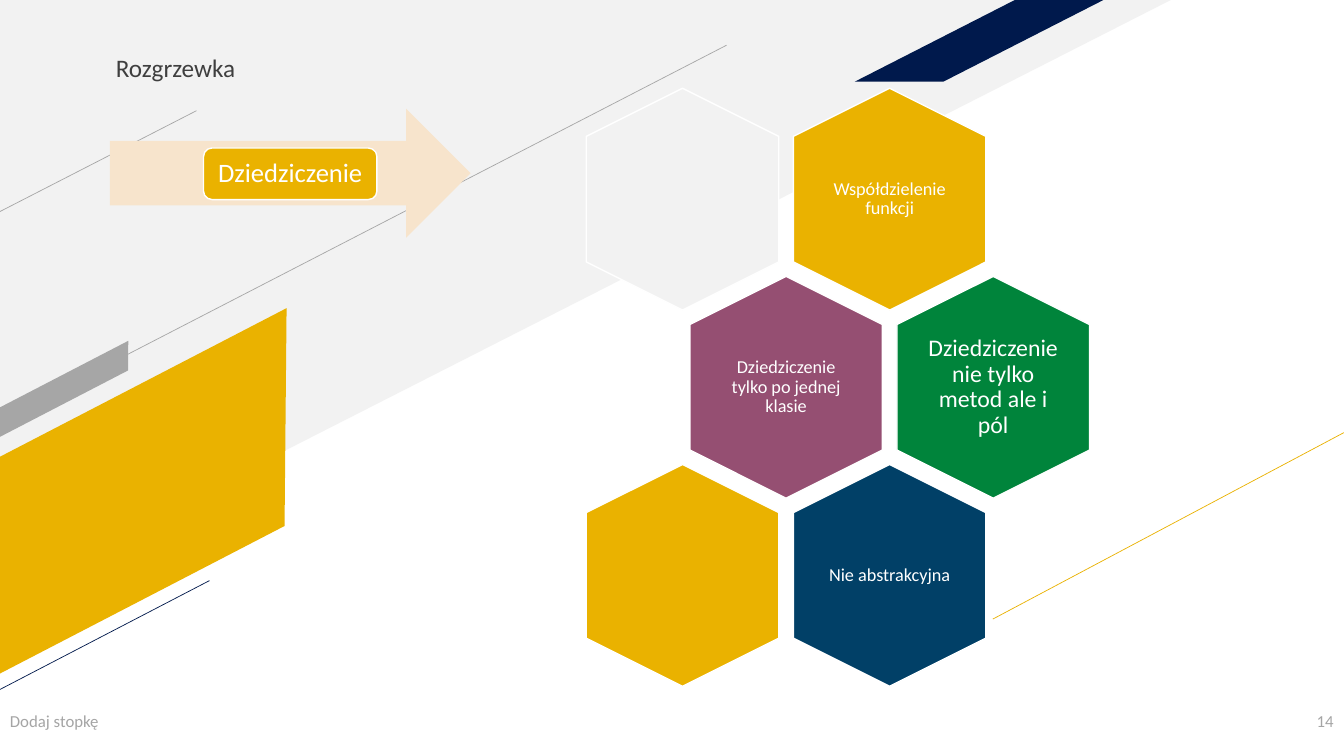
import pptx
import pptx.dml.color
import pptx.enum.shapes
import pptx.enum.text
import pptx.oxml
import pptx.oxml.ns
import pptx.util

Cm = pptx.util.Cm
RGBColor = pptx.dml.color.RGBColor
SHAPE = pptx.enum.shapes.MSO_SHAPE
ALIGN = pptx.enum.text.PP_ALIGN
ANCHOR = pptx.enum.text.MSO_ANCHOR

GOLD = RGBColor(0xEA, 0xB2, 0x00)
NAVY = RGBColor(0x00, 0x19, 0x4C)
BLUE = RGBColor(0x01, 0x40, 0x67)
PLUM = RGBColor(0x95, 0x4F, 0x72)
GREEN = RGBColor(0x00, 0x84, 0x3B)
PEACH = RGBColor(0xF7, 0xE4, 0xCC)
PALE_GRAY = RGBColor(0xF2, 0xF2, 0xF2)
GRAY = RGBColor(0xA6, 0xA6, 0xA6)
FOOTER_GRAY = RGBColor(0xA5, 0xA5, 0xA5)
DARK_GRAY = RGBColor(0x3F, 0x3F, 0x3F)
WHITE = RGBColor(0xFF, 0xFF, 0xFF)

HEXAGON_LENGTH, HEXAGON_BREADTH = 5.59, 4.85
LABEL_WIDTH, LABEL_HEIGHT = 3.35, 3.84
FIRST_CENTER_X, FIRST_CENTER_Y = 17.2, 5.02
COLUMN_PITCH, ROW_PITCH = 5.22, 4.74

# Row, column, fill, label, text size, inset
HEXAGONS = [
    (0, 1, GOLD, "Współdzielenie funkcji", 13, 0.13),
    (0, 0, PALE_GRAY, None, None, None),
    (1, 0, PLUM, "Dziedziczenie tylko po jednej klasie", 13, 0.13),
    (1, 1, GREEN, "Dziedziczenie nie tylko metod ale i pól", 17, 0),
    (2, 1, BLUE, "Nie abstrakcyjna", 13, 0.13),
    (2, 0, GOLD, None, None, None),
]


def set_attributes(target, values):
    for name, value in values.items():
        setattr(target, name, value)


def add_shape(slide, kind, box, fill, outline=None, rotation=0, adjustments=()):
    shape = slide.shapes.add_shape(kind, *map(Cm, box))
    shape.shadow.inherit = False
    shape.rotation = rotation
    for index, value in enumerate(adjustments):
        shape.adjustments[index] = value
    shape.fill.solid()
    shape.fill.fore_color.rgb = fill
    if outline is None:
        shape.line.fill.background()
    else:
        shape.line.color.rgb = outline
        shape.line.width = pptx.util.Pt(1)
    return shape


def add_line(slide, start, end, color):
    line = slide.shapes.add_connector(
        pptx.enum.shapes.MSO_CONNECTOR.STRAIGHT, *map(Cm, start + end))
    line.line.color.rgb = color
    line.line.width = pptx.util.Pt(0.5)
    properties = line._element.spPr
    properties.append(pptx.oxml.parse_xml(
        "<a:effectLst %s/>" % pptx.oxml.ns.nsdecls("a")))


def write_text(shape, text, size, color, alignment=ALIGN.LEFT,
               anchor=ANCHOR.MIDDLE, spacing=1.0, inset=None):
    frame = shape.text_frame
    set_attributes(frame, {"word_wrap": True, "vertical_anchor": anchor})
    if inset is not None:
        sides = ("left", "top", "right", "bottom")
        set_attributes(frame, {"margin_" + side: Cm(inset) for side in sides})
    paragraph = frame.paragraphs[0]
    paragraph.text = text
    set_attributes(paragraph, {"alignment": alignment, "line_spacing": spacing})
    set_attributes(paragraph.font, {"name": "Calibri", "size": pptx.util.Pt(size)})
    paragraph.font.color.rgb = color


def add_text(slide, box, text, size, color, **text_format):
    shape = slide.shapes.add_textbox(*map(Cm, box))
    write_text(shape, text, size, color, **text_format)


def centered_box(center_x, center_y, width, height):
    return center_x - width / 2, center_y - height / 2, width, height


def add_hexagon(slide, row, column, fill, label, size, inset):
    """Place a cell of the honeycomb; odd rows are shifted by half a column."""
    center_x = FIRST_CENTER_X + (column + row % 2 / 2) * COLUMN_PITCH
    center_y = FIRST_CENTER_Y + row * ROW_PITCH
    add_shape(slide, SHAPE.HEXAGON,
              centered_box(center_x, center_y, HEXAGON_LENGTH, HEXAGON_BREADTH),
              fill, WHITE, 90, (0.25, 1.155))
    if label:
        add_text(slide, centered_box(center_x, center_y, LABEL_WIDTH, LABEL_HEIGHT),
                 label, size, WHITE, alignment=ALIGN.CENTER, spacing=0.9, inset=inset)


def add_background(slide):
    triangle = add_shape(slide, SHAPE.RIGHT_TRIANGLE, (0, 0, 29.51, 15.01), PALE_GRAY)
    triangle._element.spPr.xfrm.set("flipV", "1")
    add_shape(slide, SHAPE.PARALLELOGRAM, (-1.78, 9.96, 10.72, 4.85), GOLD,
              rotation=332.6, adjustments=(0.53,))
    add_line(slide, (0, 5.33), (4.95, 2.79), GRAY)
    add_line(slide, (25.02, 15.6), (33.87, 10.9), GOLD)
    add_shape(slide, SHAPE.PARALLELOGRAM, (21.54, 0, 6.27, 2.06), NAVY,
              adjustments=(1.96,))
    add_line(slide, (0, 10.59), (18.31, 1.14), GRAY)
    add_line(slide, (-0.05, 17.4), (5.28, 14.63), NAVY)
    add_shape(slide, SHAPE.PARALLELOGRAM, (-0.38, 9.47, 3.99, 0.66), GRAY,
              rotation=332.6, adjustments=(0.53,))


def add_arrow(slide):
    add_shape(slide, SHAPE.RIGHT_ARROW, (2.77, 2.74, 9.09, 3.25), PEACH)
    label = add_shape(slide, SHAPE.ROUNDED_RECTANGLE, (5.13, 3.73, 4.37, 1.3),
                      GOLD, WHITE)
    write_text(label, "Dziedziczenie", 19, WHITE, alignment=ALIGN.CENTER,
               spacing=0.9, inset=0.13)


def main():
    presentation = pptx.Presentation()
    set_attributes(presentation, {"slide_width": Cm(33.87), "slide_height": Cm(19.05)})
    slide = presentation.slides.add_slide(presentation.slide_layouts[6])
    add_background(slide)
    add_text(slide, (0, 17.65, 11.43, 1.02), "Dodaj stopkę", 12, FOOTER_GRAY)
    add_text(slide, (31.8, 17.65, 2.06, 1.02), "14", 12, FOOTER_GRAY,
             alignment=ALIGN.RIGHT)
    add_text(slide, (2.67, 1.19, 7.98, 1.02), "Rozgrzewka", 18, DARK_GRAY,
             anchor=ANCHOR.TOP)
    add_arrow(slide)
    for hexagon in HEXAGONS:
        add_hexagon(slide, *hexagon)
    presentation.save("out.pptx")


if __name__ == "__main__":
    main()
